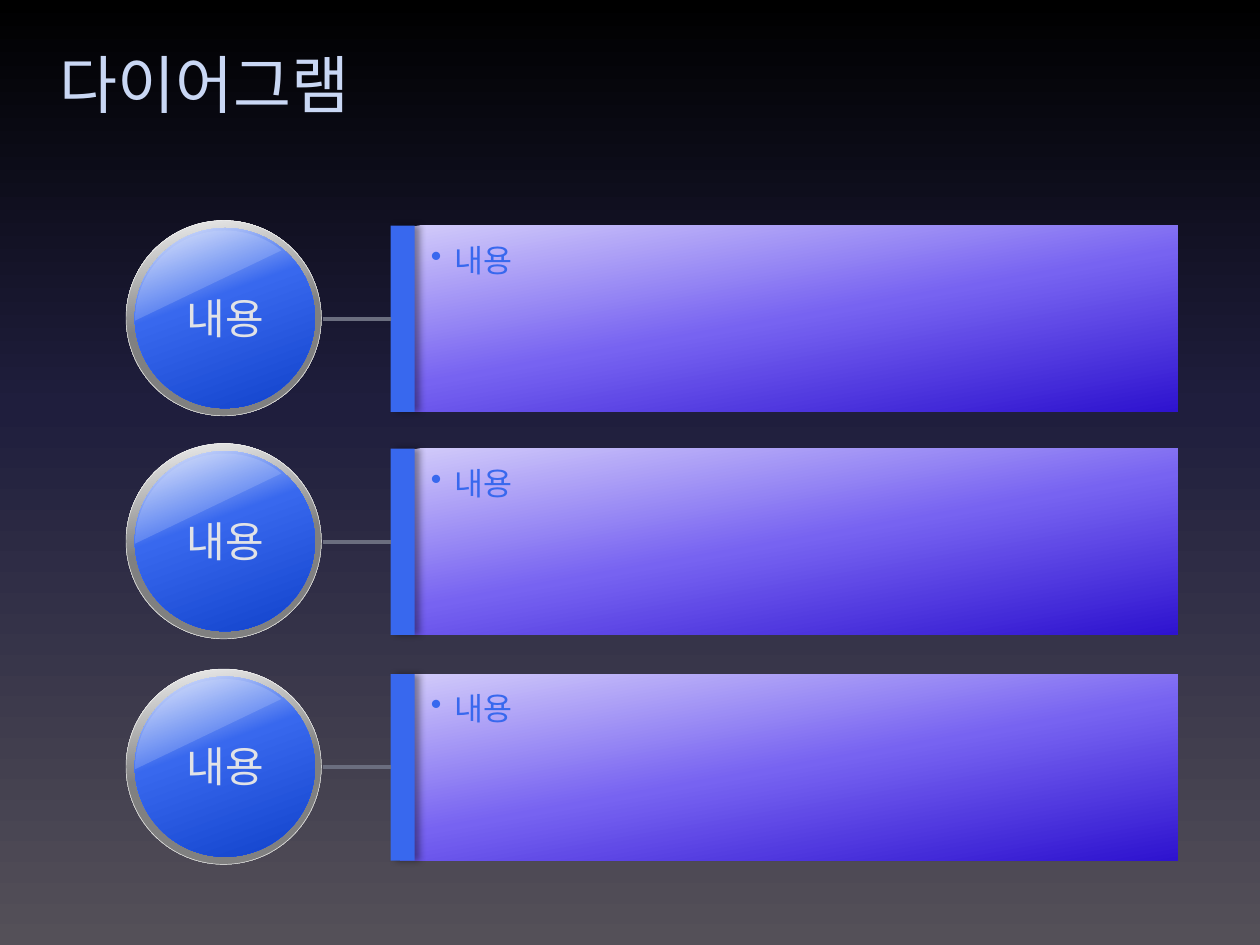
from pptx import Presentation
from pptx.dml.color import RGBColor
from pptx.enum.shapes import MSO_CONNECTOR, MSO_SHAPE as Shape
from pptx.enum.text import MSO_ANCHOR as Anchor, MSO_AUTO_SIZE as AutoSize, PP_ALIGN as Align
from pptx.oxml.ns import qn
from pptx.util import Inches, Pt
from lxml.etree import SubElement

FONT = "Arial"
ROW_TOPS = [1.75, 3.52, 5.31]
BACKDROP = [(0, "000000"), (43, "1F1E3D"), (100, "545058")]
RIM = [(0, "F2F2F2"), (50, "808080"), (100, "808080")]
GLASS = [(0, "EBF0FD"), (40, "3868EE"), (100, "1142CB")]
PANEL = [(0, "D2CBFA"), (50, "7763F1"), (100, "2E13CF")]
BLUE = "3868EE"


def color(value):
    return RGBColor.from_string(value)


def add_color(parent, value, alpha=None):
    node = SubElement(parent, qn("a:srgbClr"), val=value)
    if alpha is not None:
        SubElement(node, qn("a:alpha"), val=str(alpha * 1000))


def set_gradient(fill, element, stops, angle):
    """Fill with any number of stops; the angle runs clockwise."""
    fill.gradient()
    fill.gradient_angle = 360 - angle
    stop_list = next(element.iter(qn("a:gsLst")))
    for old in list(stop_list):
        stop_list.remove(old)
    for position, value in stops:
        add_color(SubElement(stop_list, qn("a:gs"), pos=str(position * 1000)), value)


def add_plain_shape(shapes, kind, left, top, width, height):
    shape = shapes.add_shape(kind, Inches(left), Inches(top), Inches(width), Inches(height))
    shape.shadow.inherit = False
    shape.line.fill.background()
    return shape


def write(para, text, size, value, align=Align.LEFT):
    para.text = text
    para.alignment = align
    font = para.font
    font.name, font.size, font.color.rgb = FONT, Pt(size), color(value)


def add_title(page, text):
    title = page.shapes.title
    title.left, title.top = Inches(0.37), Inches(0.2)
    title.width, title.height = Inches(9.26), Inches(0.92)
    title.text_frame.vertical_anchor = Anchor.MIDDLE
    write(title.text_frame.paragraphs[0], text, 36, "C9D7F4")


def add_button(page, left, top, label):
    """Glass button, 1.55 inches across, with a centred label."""
    shapes = page.shapes.add_group_shape().shapes
    rim = add_plain_shape(shapes, Shape.OVAL, left, top, 1.55, 1.55)
    set_gradient(rim.fill, rim._element, RIM, 80)
    rim.line.color.rgb = color("F2F2F2")
    rim.line.width = Pt(0.25)

    glass = add_plain_shape(shapes, Shape.OVAL, left + 0.07, top + 0.06, 1.43, 1.43)
    set_gradient(glass.fill, glass._element, GLASS, 70)

    shine = add_plain_shape(shapes, Shape.CHORD, left + 0.07, top + 0.08, 1.43, 1.43)
    shine.rotation = 90
    shine.adjustments[0], shine.adjustments[1] = 53.946, 131.298
    shine.fill.solid()
    shine.fill.fore_color.rgb = color("D7E1FC")
    SubElement(next(shine._element.iter(qn("a:srgbClr"))), qn("a:alpha"), val="20000")

    box = page.shapes.add_textbox(Inches(left + 0.36), Inches(top + 0.52), Inches(0.86), Inches(0.5))
    frame = box.text_frame
    frame.word_wrap = False
    frame.auto_size = AutoSize.SHAPE_TO_FIT_TEXT
    frame.vertical_anchor = Anchor.MIDDLE
    write(frame.paragraphs[0], label, 24, "E1E2E6", Align.CENTER)


def add_panel(page, left, top, text):
    """Bulleted panel with a shadowed bar on its left edge; returns the bar."""
    shapes = page.shapes.add_group_shape().shapes
    panel = add_plain_shape(shapes, Shape.RECTANGLE, left + 0.08, top, 6.17, 1.48)
    set_gradient(panel.fill, panel._element, PANEL, 80)
    frame = panel.text_frame
    frame.word_wrap = True
    frame.vertical_anchor = Anchor.TOP
    frame.margin_left, frame.margin_top = Inches(0.24), Inches(0.12)
    frame.margin_right, frame.margin_bottom = Inches(0.1), Inches(0.05)
    para = frame.paragraphs[0]
    props = para._p.get_or_add_pPr()
    props.set("marL", str(Inches(0.19)))
    props.set("indent", str(Inches(-0.19)))
    SubElement(props, qn("a:buChar"), char="•")
    write(para, text, 18, BLUE)

    bar = add_plain_shape(shapes, Shape.RECTANGLE, left, top, 0.19, 1.48)
    bar.fill.solid()
    bar.fill.fore_color.rgb = color(BLUE)
    effects = bar._element.spPr.find(qn("a:effectLst"))
    shadow = SubElement(effects, qn("a:outerShdw"), blurRad=str(Pt(4)), dist=str(Pt(3)),
                        dir="0", algn="l", rotWithShape="0")
    add_color(shadow, "000000", 40)
    return bar


def add_link(page, left, top, bar):
    start = Inches(left), Inches(top)
    link = page.shapes.add_connector(MSO_CONNECTOR.STRAIGHT, *start, bar.left, start[1])
    link.end_connect(bar, 1)
    link.line.color.rgb = color("6B6E7F")
    link.line.width = Pt(2.25)
    SubElement(link._element.spPr, qn("a:effectLst"))


def add_row(page, left, top, label, text):
    add_button(page, left, top, label)
    bar = add_panel(page, left + 2.1, top + 0.04, text)
    add_link(page, left + 1.56, top + 0.78, bar)


def main():
    deck = Presentation()
    deck.slide_width, deck.slide_height = Inches(10), Inches(7.5)
    page = deck.slides.add_slide(deck.slide_layouts[5])
    set_gradient(page.background.fill, page._element, BACKDROP, 90)
    add_title(page, "다이어그램")
    for top in ROW_TOPS:
        add_row(page, 1, top, "내용", "내용")
    deck.save("out.pptx")


if __name__ == "__main__":
    main()
